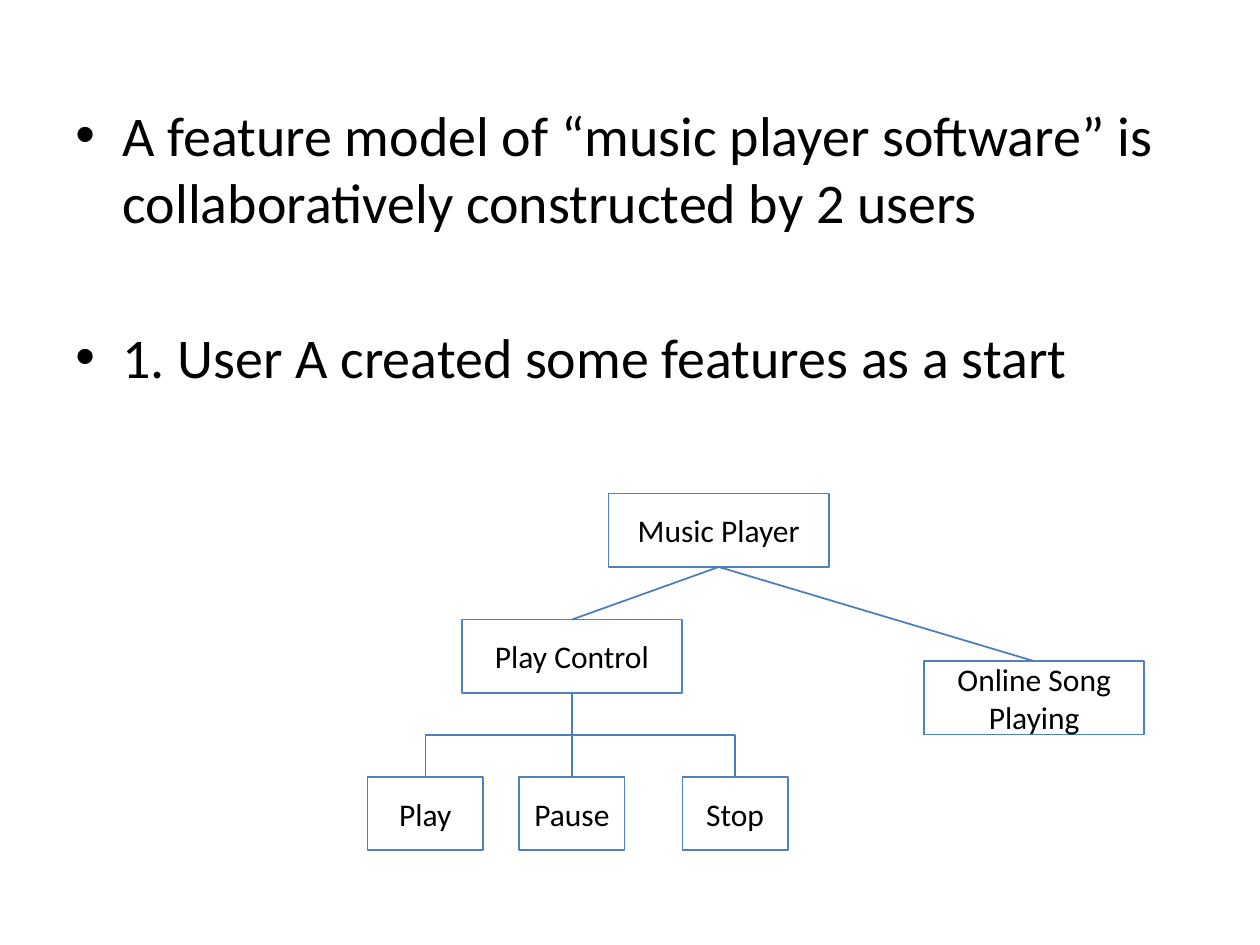
from lxml import etree
from pptx import Presentation
from pptx import util as u
from pptx.dml.color import RGBColor
from pptx.enum import shapes, text
from pptx.oxml import ns

BLACK = RGBColor(0x00, 0x00, 0x00)
WHITE = RGBColor(0xFF, 0xFF, 0xFF)
BOX_BLUE = RGBColor(0x4F, 0x81, 0xBD)
LINE_BLUE = RGBColor(0x4B, 0x7E, 0xBC)
FONT = "Calibri"
BOX_HEIGHT = 1.48
BOTTOM, TOP = 2, 0  # connection sites of a rectangle

BULLETS = [
    "A feature model of “music player software” is collaboratively constructed by 2 users",
    "1. User A created some features as a start",
]
# label: left and top within the tree, width (cm)
FEATURES = {
    "Music Player": (4.86, 0, 4.44),
    "Play Control": (1.9, 2.54, 4.44),
    "Play": (0, 5.71, 2.33),
    "Pause": (3.06, 5.71, 2.12),
    "Stop": (6.35, 5.71, 2.12),
    "Online Song Playing": (11.22, 3.38, 4.44),
}
CHILDREN = {
    "Music Player": ["Play Control", "Online Song Playing"],
    "Play Control": ["Play", "Pause", "Stop"],
}


def style_font(font, size):
    font.name = FONT
    font.size = u.Pt(size)
    font.color.rgb = BLACK


def add_bullet_list(slide, left, top, width, height):
    box = slide.shapes.add_textbox(u.Cm(left), u.Cm(top), u.Cm(width), u.Cm(height))
    frame = box.text_frame
    frame.word_wrap = True
    frame.text = "\n".join(BULLETS)
    for index, paragraph in enumerate(frame.paragraphs):
        properties = paragraph._p.get_or_add_pPr()
        properties.set("marL", str(u.Cm(0.95)))
        properties.set("indent", str(u.Cm(-0.95)))
        etree.SubElement(properties, ns.qn("a:buFont"), typeface="Arial")
        etree.SubElement(properties, ns.qn("a:buChar"), char="•")
        paragraph.space_before = u.Pt(50 if index else 0)
        style_font(paragraph.font, 32)


def add_feature(slide, label, left, top, width):
    box = slide.shapes.add_shape(shapes.MSO_SHAPE.RECTANGLE, u.Cm(left), u.Cm(top),
                                 u.Cm(width), u.Cm(BOX_HEIGHT))
    box.shadow.inherit = False
    box.fill.solid()
    box.fill.fore_color.rgb = WHITE
    box.line.color.rgb = BOX_BLUE
    box.line.width = u.Pt(1)
    frame = box.text_frame
    frame.word_wrap = True
    frame.vertical_anchor = text.MSO_ANCHOR.MIDDLE
    frame.text = label
    frame.paragraphs[0].alignment = text.PP_ALIGN.CENTER
    style_font(frame.paragraphs[0].font, 18)
    return box


def connect(slide, parent, child, kind):
    connector = slide.shapes.add_connector(kind, 0, 0, 0, 0)
    connector.begin_connect(parent, BOTTOM)
    connector.end_connect(child, TOP)
    connector.line.color.rgb = LINE_BLUE
    connector.line.width = u.Pt(1)
    etree.SubElement(connector._element.spPr, ns.qn("a:effectLst"))
    if kind == shapes.MSO_CONNECTOR.ELBOW:
        turn_downwards(connector)


def turn_downwards(connector):
    """Rotate an elbow a quarter turn, so that it leaves and arrives vertically."""
    rightwards = connector.end_x > connector.begin_x
    across, down = connector.width, connector.height
    center_x = connector.left + across // 2
    center_y = connector.top + down // 2
    connector.left, connector.top = center_x - down // 2, center_y - across // 2
    connector.width, connector.height = down, across
    transform = connector._element.spPr.find(ns.qn("a:xfrm"))
    transform.set("rot", str((270 if rightwards else 90) * 60000))
    transform.set("flipH", "1" if rightwards else "0")
    transform.set("flipV", "0")


def add_feature_tree(slide, left, top):
    boxes = {label: add_feature(slide, label, left + x, top + y, width)
             for label, (x, y, width) in FEATURES.items()}
    for parent, children in CHILDREN.items():
        is_root = parent == "Music Player"
        kind = shapes.MSO_CONNECTOR.STRAIGHT if is_root else shapes.MSO_CONNECTOR.ELBOW
        for child in children:
            connect(slide, boxes[parent], boxes[child], kind)


def main():
    presentation = Presentation()
    presentation.slide_width = u.Cm(25.4)
    presentation.slide_height = u.Cm(19.05)
    slide = presentation.slides.add_slide(presentation.slide_layouts[6])
    add_bullet_list(slide, 1.27, 1.9, 22.86, 7.62)
    add_feature_tree(slide, 7.41, 9.95)
    presentation.save("out.pptx")


if __name__ == "__main__":
    main()
